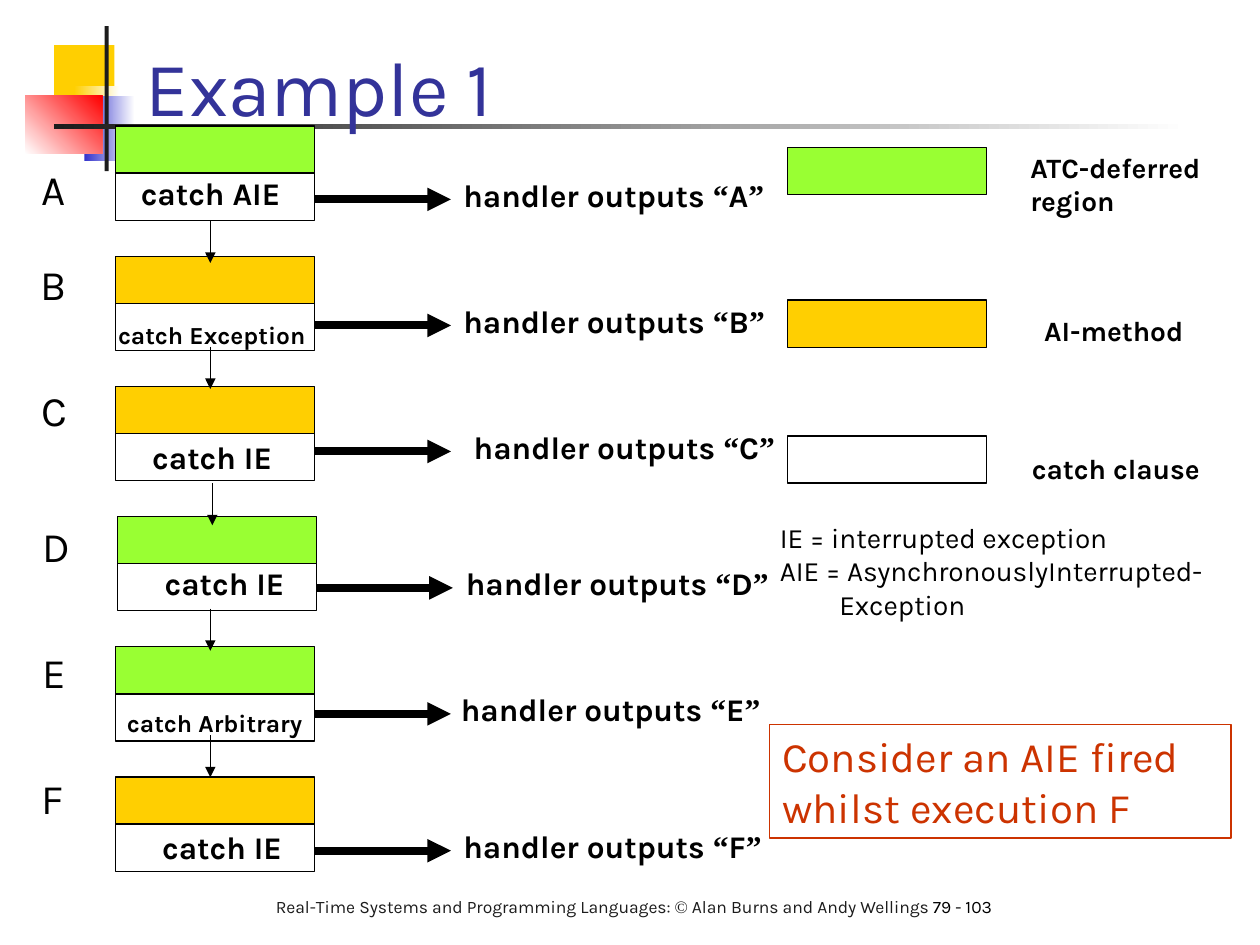
import itertools
from dataclasses import dataclass
from typing import Any, Optional

import lxml.etree
import pptx
import pptx.dml.color
import pptx.enum.shapes
import pptx.enum.text
import pptx.oxml.ns
import pptx.util

Cm, Pt = pptx.util.Cm, pptx.util.Pt
AutoSize, Anchor = pptx.enum.text.MSO_AUTO_SIZE, pptx.enum.text.MSO_ANCHOR

BLACK, DARK, WHITE = "000000", "1C1C1C", "FFFFFF"
GREEN, AMBER, BLUE, RUST = "99FF33", "FFCF01", "333399", "CC3300"
BODY_FONT, SYMBOL_FONT, SYMBOLS = "Karla", "Times New Roman", "“”©"
BAR_WIDTH, BAR_HEIGHT = 4.01, 0.95
STAGE_LEFT, STAGE_TOP, STAGE_PITCH = 2.33, 2.54, 2.625
CM_PER_POINT = 2.54 / 72


@dataclass
class Bar:
    left: float
    top: float
    width: float = BAR_WIDTH
    height: float = BAR_HEIGHT
    fill: Optional[str] = None
    fade_to: Optional[str] = None
    angle: float = 0
    line: Optional[str] = BLACK


@dataclass
class Label:
    lines: tuple
    left: float
    top: float
    width: float
    size: float
    bold: bool = False
    color: str = BLACK
    wrap: bool = False

    @property
    def height(self) -> float:
        return (1.2 * self.size * len(self.lines) + 7.2) * CM_PER_POINT


@dataclass
class Stage:
    name: str
    name_box: tuple      # left, top, width
    fill: str
    catch: str
    catch_box: tuple     # left, top, width
    catch_size: float
    handler_box: tuple   # left, width
    handler_y: float
    entry_y: Optional[float] = None
    shift: float = 0


def colour(value: str) -> pptx.dml.color.RGBColor:
    return pptx.dml.color.RGBColor.from_string(value)


def set_values(target: Any, values: dict) -> None:
    for name, value in values.items():
        setattr(target, name, value)


def add_bar(shapes: Any, bar: Bar) -> Any:
    shape = shapes.add_shape(pptx.enum.shapes.MSO_SHAPE.RECTANGLE, Cm(bar.left),
                             Cm(bar.top), Cm(bar.width), Cm(bar.height))
    shape.shadow.inherit = False
    if bar.fade_to:
        shape.fill.gradient()
        shape.fill.gradient_angle = bar.angle
        for stop, value in zip(shape.fill.gradient_stops, (bar.fill, bar.fade_to)):
            stop.color.rgb = colour(value)
    elif bar.fill:
        shape.fill.solid()
        shape.fill.fore_color.rgb = colour(bar.fill)
    else:
        shape.fill.background()
    if bar.line:
        shape.line.color.rgb = colour(bar.line)
        shape.line.width = Pt(0.75)
    else:
        shape.line.fill.background()
    return shape


def add_spans(para: Any, text: str, size: float, bold: bool, color: str) -> None:
    """Symbols take their own font, all other characters the body font."""
    for is_symbol, letters in itertools.groupby(text, lambda letter: letter in SYMBOLS):
        span = para.add_run()
        span.text = "".join(letters)
        set_values(span.font, {"name": SYMBOL_FONT if is_symbol else BODY_FONT,
                               "size": Pt(size), "bold": bold})
        span.font.color.rgb = colour(color)


def write_label(box: Any, label: Label) -> None:
    frame = box.text_frame
    set_values(frame, {"word_wrap": label.wrap, "auto_size": AutoSize.SHAPE_TO_FIT_TEXT,
                       "vertical_anchor": Anchor.TOP})
    for index, line in enumerate(label.lines):
        para = frame.add_paragraph() if index else frame.paragraphs[0]
        para.alignment = pptx.enum.text.PP_ALIGN.LEFT
        add_spans(para, line, label.size, label.bold, label.color)


def add_label(shapes: Any, label: Label) -> Any:
    box = shapes.add_textbox(Cm(label.left), Cm(label.top), Cm(label.width), Cm(label.height))
    write_label(box, label)
    return box


def add_arrow(shapes: Any, start: tuple, end: tuple, weight: float) -> None:
    arrow = shapes.add_connector(pptx.enum.shapes.MSO_CONNECTOR.STRAIGHT,
                                 *(Cm(value) for value in start + end))
    arrow.line.color.rgb = colour(BLACK)
    arrow.line.width = Pt(weight)
    qn = pptx.oxml.ns.qn
    properties = arrow._element.spPr
    lxml.etree.SubElement(properties.find(qn("a:ln")), qn("a:tailEnd"), type="triangle")
    lxml.etree.SubElement(properties, qn("a:effectLst"))


def add_stage(page: Any, index: int, stage: Stage) -> None:
    shapes = page.shapes.add_group_shape().shapes
    left, top = STAGE_LEFT + stage.shift, STAGE_TOP + index * STAGE_PITCH
    for row, fill in enumerate((stage.fill, None)):
        add_bar(shapes, Bar(left, top + row * BAR_HEIGHT, fill=fill))
    if stage.entry_y:
        x = left + 1.91
        add_arrow(shapes, (x, stage.entry_y), (x, stage.entry_y + 0.85), 0.75)
    add_label(shapes, Label((stage.catch,), *stage.catch_box, stage.catch_size, bold=True))
    start = left + BAR_WIDTH
    add_arrow(shapes, (start, stage.handler_y), (start + 2.75, stage.handler_y), 4.5)
    handler_left, handler_width = stage.handler_box
    add_label(shapes, Label((f"handler outputs “{stage.name}”",), handler_left,
                            stage.handler_y - 0.6, handler_width, 18, bold=True))
    add_label(shapes, Label((stage.name,), *stage.name_box, 24))


DECORATION = [
    Bar(1.09, 0.91, 1.22, 1.32, AMBER, line=None),
    Bar(1.5, 1.73, 0.91, 1.32, AMBER, WHITE, line=None),
    Bar(1.7, 1.93, 1.02, 1.32, "3333CC", WHITE, line=None),
    Bar(0.51, 1.93, 1.55, 1.17, WHITE, "FF0000", 45, line=None),
    Bar(2.11, 0.53, 0.08, 2.92, DARK, line=None),
    Bar(1.09, 2.51, 22.86, 0.1, DARK, WHITE, line=None),
]
LEGEND = [
    (Bar(15.88, 2.97, fill=GREEN),
     Label(("ATC-deferred", "region"), 20.52, 2.9, 4.19, 16, bold=True)),
    (Bar(15.88, 6.05, fill=AMBER), Label(("AI-method",), 20.8, 6.2, 3.51, 16, bold=True)),
    (Bar(15.88, 8.79), Label(("catch clause",), 20.55, 8.97, 3.96, 16, bold=True)),
]
STAGES = [
    Stage("A", (0.58, 3.18, 1.04), GREEN, "catch AIE", (2.59, 3.39, 3.43), 18,
          (9.09, 6.88), 4.02),
    Stage("B", (0.56, 5.08, 1.04), AMBER, "catch Exception", (2.13, 6.32, 4.39), 14,
          (9.09, 6.86), 6.56, 4.45),
    Stage("C", (0.58, 7.62, 1.04), AMBER, "catch IE", (2.82, 8.71, 3), 18,
          (9.3, 6.86), 9.1, 6.99),
    Stage("D", (0.61, 10.36, 1.12), GREEN, "catch IE", (3.07, 11.25, 3), 18,
          (9.14, 6.91), 11.85, 9.74, shift=0.04),
    Stage("E", (0.61, 12.9, 0.97), GREEN, "catch Arbitrary", (2.31, 14.15, 4.27), 14,
          (9.04, 6.81), 14.39, 12.27),
    Stage("F", (0.58, 15.44, 0.94), AMBER, "catch IE", (3.02, 16.56, 3), 18,
          (9.09, 6.78), 17.15, 14.82),
]


def main() -> None:
    deck = pptx.Presentation()
    set_values(deck, {"slide_width": Cm(25.4), "slide_height": Cm(19.05)})
    page = deck.slides.add_slide(deck.slide_layouts[6])

    # Corner decoration, footer and title
    for bar in DECORATION:
        add_bar(page.shapes, bar)
    footer = add_label(page.shapes, Label(
        ("Real-Time Systems and Programming Languages: © Alan Burns and Andy Wellings ",),
        5.31, 17.93, 15.39, 10, color=DARK, wrap=True))
    add_spans(footer.text_frame.paragraphs[0], "79 - 103", 10, False, BLACK)
    add_label(page.shapes, Label(("Example 1",), 2.69, 0.68, 21.64, 44, color=BLUE, wrap=True))

    # Legend and abbreviations
    for bar, label in LEGEND:
        add_bar(page.shapes, bar)
        add_label(page.shapes, label)
    terms = add_label(page.shapes, Label(
        ("IE = interrupted exception", "AIE = AsynchronouslyInterrupted-", "Exception"),
        15.47, 10.36, 9.45, 16))
    terms.text_frame.paragraphs[-1]._p.get_or_add_pPr().set("marL", str(Cm(1.2)))

    # Question
    question = Label(("Consider an AIE fired", "whilst execution F"),
                     15.52, 14.61, 9.3, 24, color=RUST)
    write_label(add_bar(page.shapes, Bar(question.left, question.top, question.width,
                                         question.height, line=RUST)), question)

    # Call chain
    for index, stage in enumerate(STAGES):
        add_stage(page, index, stage)

    deck.save("out.pptx")


if __name__ == "__main__":
    main()
